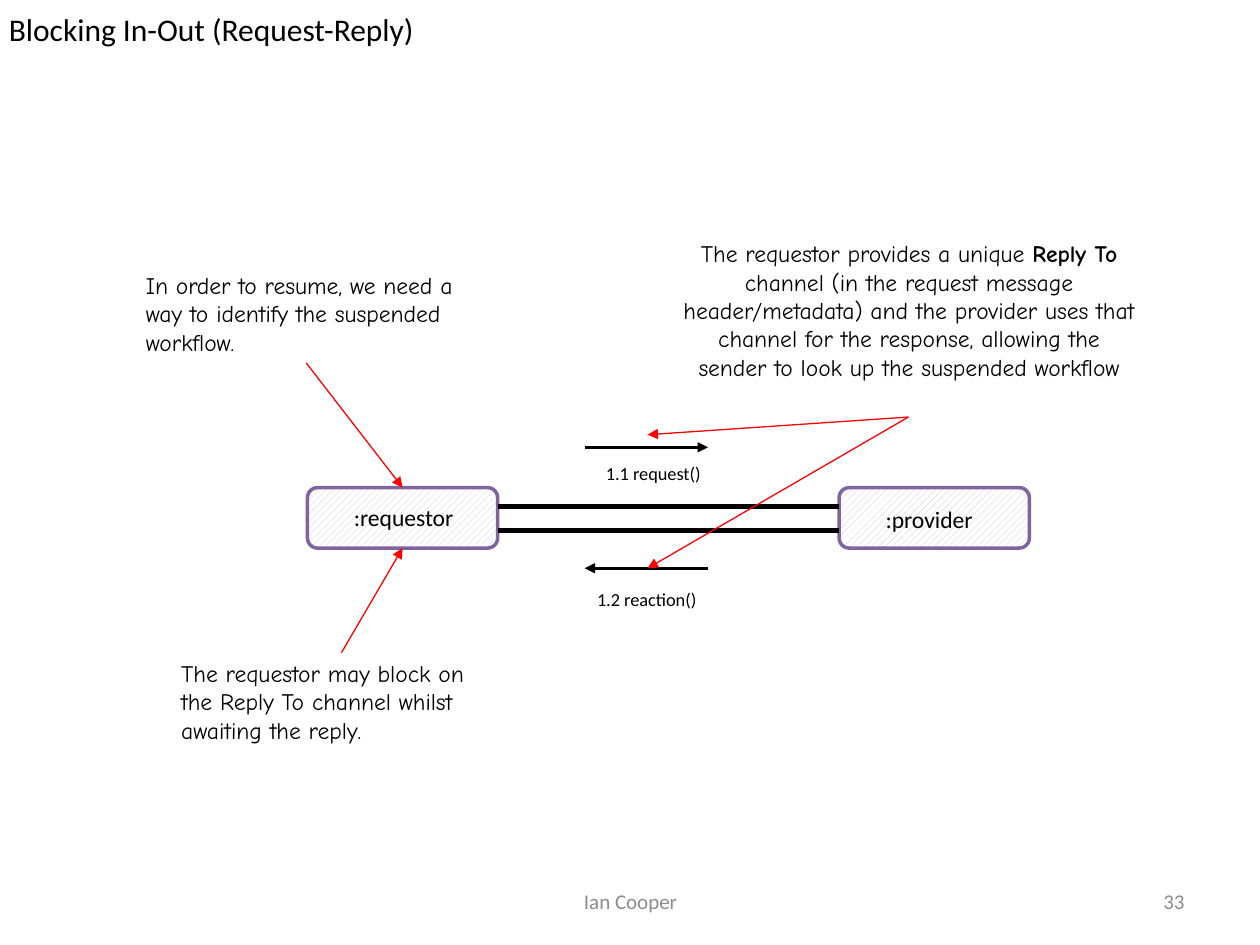
"""Build the request-reply messaging slide with python-pptx."""
import pptx
import pptx.dml.color
import pptx.enum.dml
import pptx.enum.shapes
import pptx.enum.text
import pptx.oxml
import pptx.oxml.ns
import pptx.util

RGBColor = pptx.dml.color.RGBColor
BLACK = RGBColor(0x00, 0x00, 0x00)
WHITE = RGBColor(0xFF, 0xFF, 0xFF)
GREY = RGBColor(0x8C, 0x8C, 0x8C)
RED = RGBColor(0xFF, 0x00, 0x00)
PURPLE = RGBColor(0x80, 0x64, 0xA2)
LILAC = RGBColor(0xCC, 0xC1, 0xDA)
LEFT = pptx.enum.text.PP_ALIGN.LEFT
CENTER = pptx.enum.text.PP_ALIGN.CENTER
RIGHT = pptx.enum.text.PP_ALIGN.RIGHT
TOP = pptx.enum.text.MSO_ANCHOR.TOP
MIDDLE = pptx.enum.text.MSO_ANCHOR.MIDDLE

prs = pptx.Presentation()
prs.slide_width = pptx.util.Inches(10)
prs.slide_height = pptx.util.Inches(7.5)
COL = prs.slide_width / 100
ROW = prs.slide_height / 75


def grid(x, y, *rest):
    """Turn alternating columns and rows into slide lengths."""
    return [round(v * (ROW if i % 2 else COL)) for i, v in enumerate((x, y, *rest))]


def add_text(p, text, size=13.5, font="Calibri", color=BLACK, bold=False):
    """Append a formatted run to a paragraph."""
    r = p.add_run()
    r.text = text
    r.font.size = pptx.util.Pt(size)
    r.font.name = font
    r.font.color.rgb = color
    r.font.bold = bold


s = prs.slides.add_slide(prs.slide_layouts[5])

title = s.shapes.title
title.left, title.top, title.width, title.height = grid(0, 0.1, 100, 4.5)
tf = title.text_frame
tf.auto_size = pptx.enum.text.MSO_AUTO_SIZE.NONE
tf.vertical_anchor = TOP
tf.margin_left = tf.margin_right = tf.margin_top = tf.margin_bottom = pptx.util.Inches(0.07)
tf.paragraphs[0].alignment = LEFT
add_text(tf.paragraphs[0], "Blocking In-Out (Request-Reply)", size=18)

box_w, box_h, box_y = 15.1, 4.8, 38.7
requestor_x, provider_x = 24.4, 66.6
for x in (requestor_x, provider_x):
    sp = s.shapes.add_shape(pptx.enum.shapes.MSO_SHAPE.ROUNDED_RECTANGLE,
                            *grid(x, box_y, box_w, box_h))
    sp.shadow.inherit = False
    sp.fill.patterned()
    sp.fill.pattern = pptx.enum.dml.MSO_PATTERN.WIDE_UPWARD_DIAGONAL
    sp.fill.fore_color.rgb = LILAC
    sp.fill.back_color.rgb = WHITE
    sp.line.color.rgb = PURPLE
    sp.line.width = pptx.util.Pt(2)

requestor_mid = requestor_x + box_w / 2
channel_x = requestor_x + box_w
arrow_left, arrow_right, arrow_mid = 46.4, 56.2, 51.4
request_y, reaction_y = 35.5, 45.1
callout = (72.1, 33.1)
lines = [
    ((channel_x, 40.2, provider_x, 40.2), BLACK, 2.5, False),
    ((channel_x, 42.1, provider_x, 42.1), BLACK, 2.5, False),
    ((arrow_left, request_y, arrow_right, request_y), BLACK, 1.5, True),
    ((arrow_right, reaction_y, arrow_left, reaction_y), BLACK, 1.5, True),
    ((*callout, arrow_mid, request_y - 1), RED, 0.75, True),
    ((*callout, arrow_mid, reaction_y), RED, 0.75, True),
    ((24.3, 28.8, requestor_mid, box_y), RED, 0.75, True),
    ((27.1, 51.8, requestor_mid, box_y + box_h), RED, 0.75, True),
]
for ends, color, width, arrow in lines:
    sp = s.shapes.add_connector(pptx.enum.shapes.MSO_CONNECTOR.STRAIGHT, *grid(*ends))
    sp.line.color.rgb = color
    sp.line.width = pptx.util.Pt(width)
    if arrow:
        tail = pptx.oxml.parse_xml(
            f'<a:tailEnd {pptx.oxml.ns.nsdecls("a")} type="triangle"/>')
        sp.line._get_or_add_ln().append(tail)
    effects = pptx.oxml.parse_xml(f'<a:effectLst {pptx.oxml.ns.nsdecls("a")}/>')
    sp._element.spPr.append(effects)

label = {"size": 10.5}
note = {"font": "Comic Neue"}
footer = {"size": 12, "color": GREY}
texts = [
    ((34.2, 69.5, 31.7, 4), CENTER, MIDDLE, footer, ["Ian Cooper"]),
    ((71.7, 69.5, 23.3, 4), RIGHT, MIDDLE, footer, ["33"]),
    ((47.1, 36.2, 9.8, 2.8), LEFT, TOP, label, ["1.1 request()"]),
    ((46.4, 46.2, 13, 2.8), LEFT, TOP, label, ["1.2 reaction()"]),
    ((27.1, 39.4, 10.9, 3.3), LEFT, TOP, {}, [":requestor"]),
    ((69.3, 39.6, 9.6, 3.3), LEFT, TOP, {}, [":provider"]),
    ((10.6, 21, 27.3, 7.8), LEFT, TOP, note,
     ["In order to resume, we need a way to identify the suspended workflow."]),
    ((13.4, 51.8, 27.3, 7.8), LEFT, TOP, note,
     ["The requestor may block on the Reply To channel whilst awaiting the reply."]),
    ((53.1, 18.5, 38.1, 14.6), CENTER, TOP, note,
     ["The requestor provides a unique ", "Reply To ",
      "channel (in the request message header/metadata) and the provider uses that "
      "channel for the response, allowing the sender to look up the suspended workflow"]),
]
for place, align, anchor, style, parts in texts:
    tf = s.shapes.add_textbox(*grid(*place)).text_frame
    tf.word_wrap = True
    tf.vertical_anchor = anchor
    p = tf.paragraphs[0]
    p.alignment = align
    for part in parts:
        add_text(p, part, bold=part == "Reply To ", **style)

prs.save("out.pptx")
